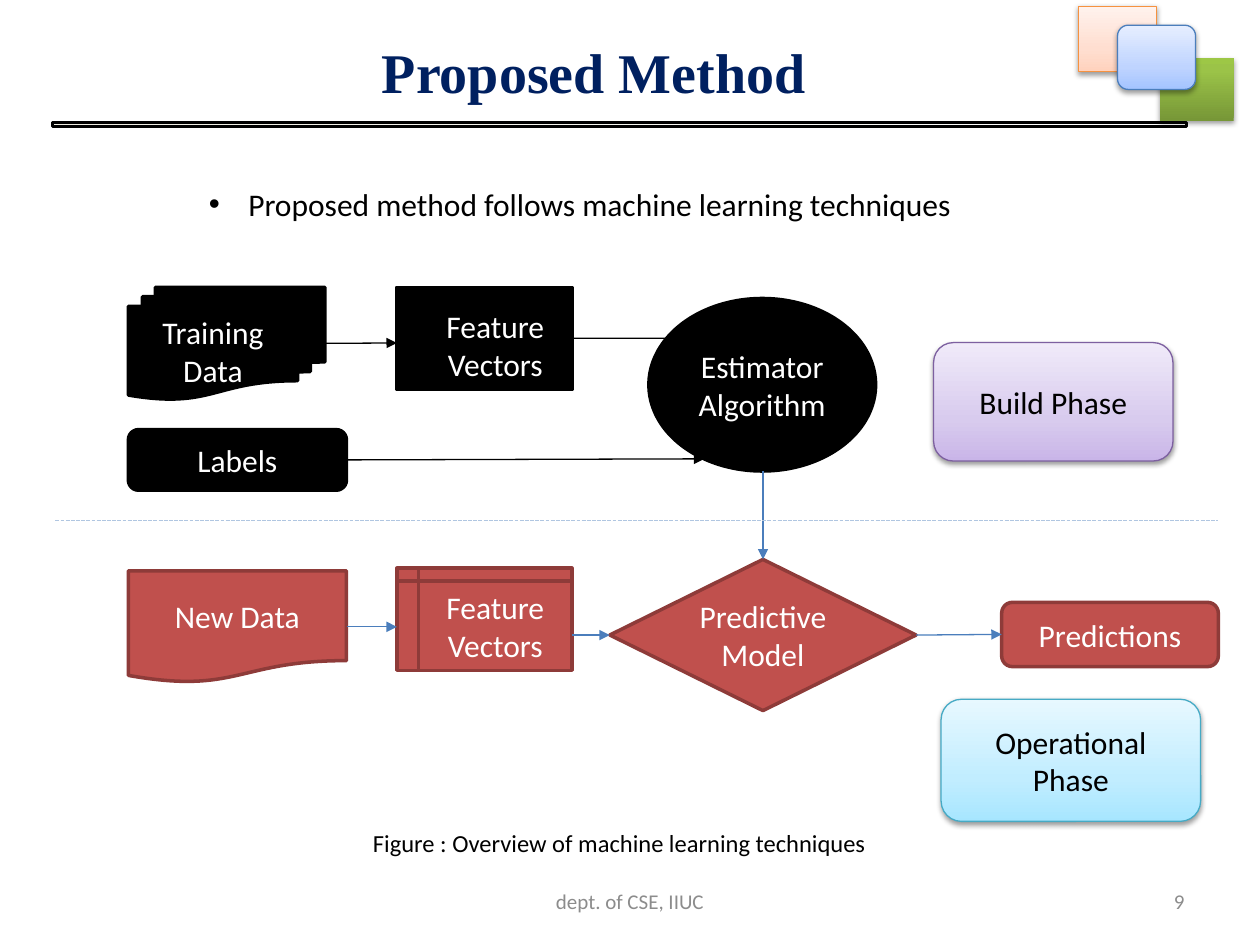
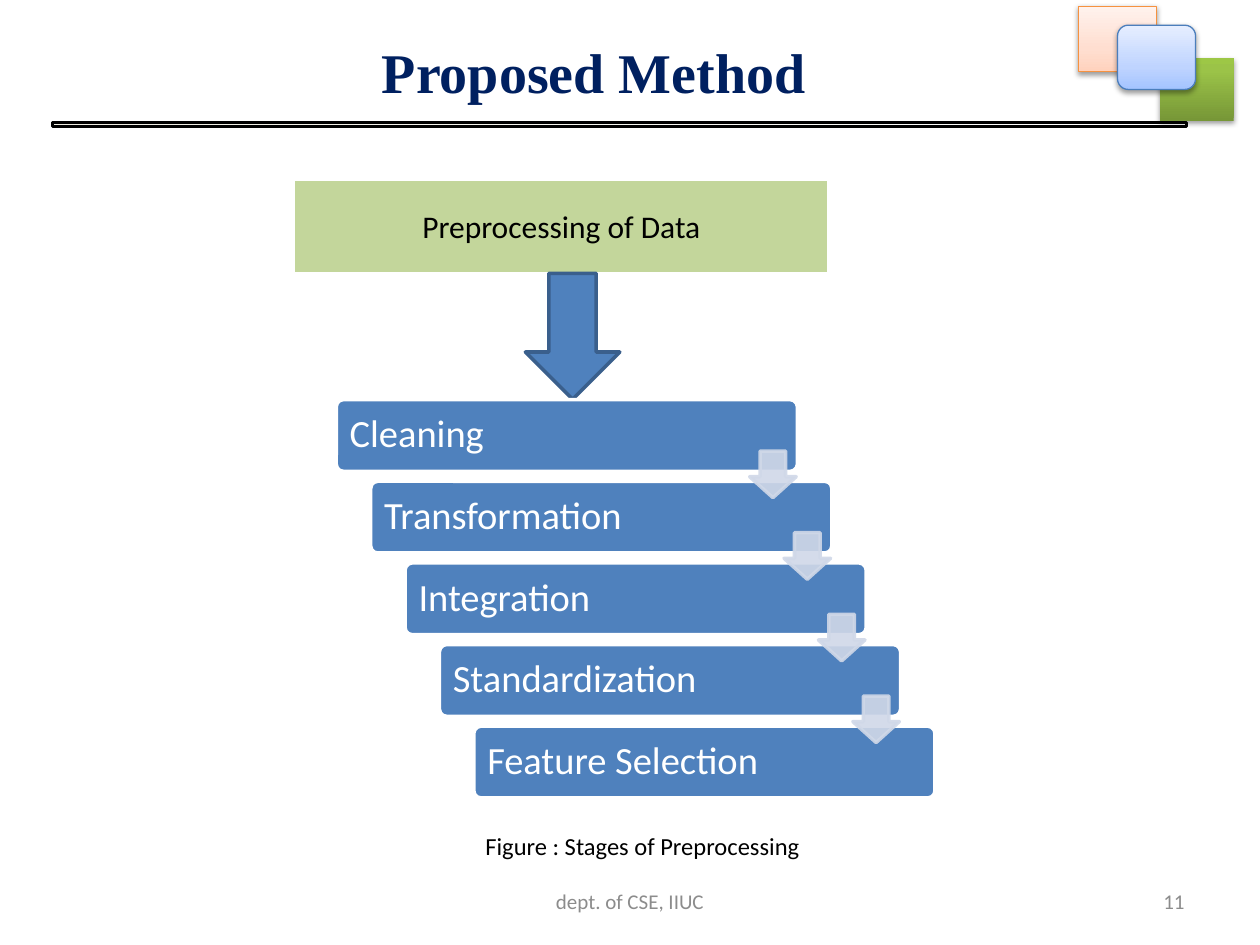
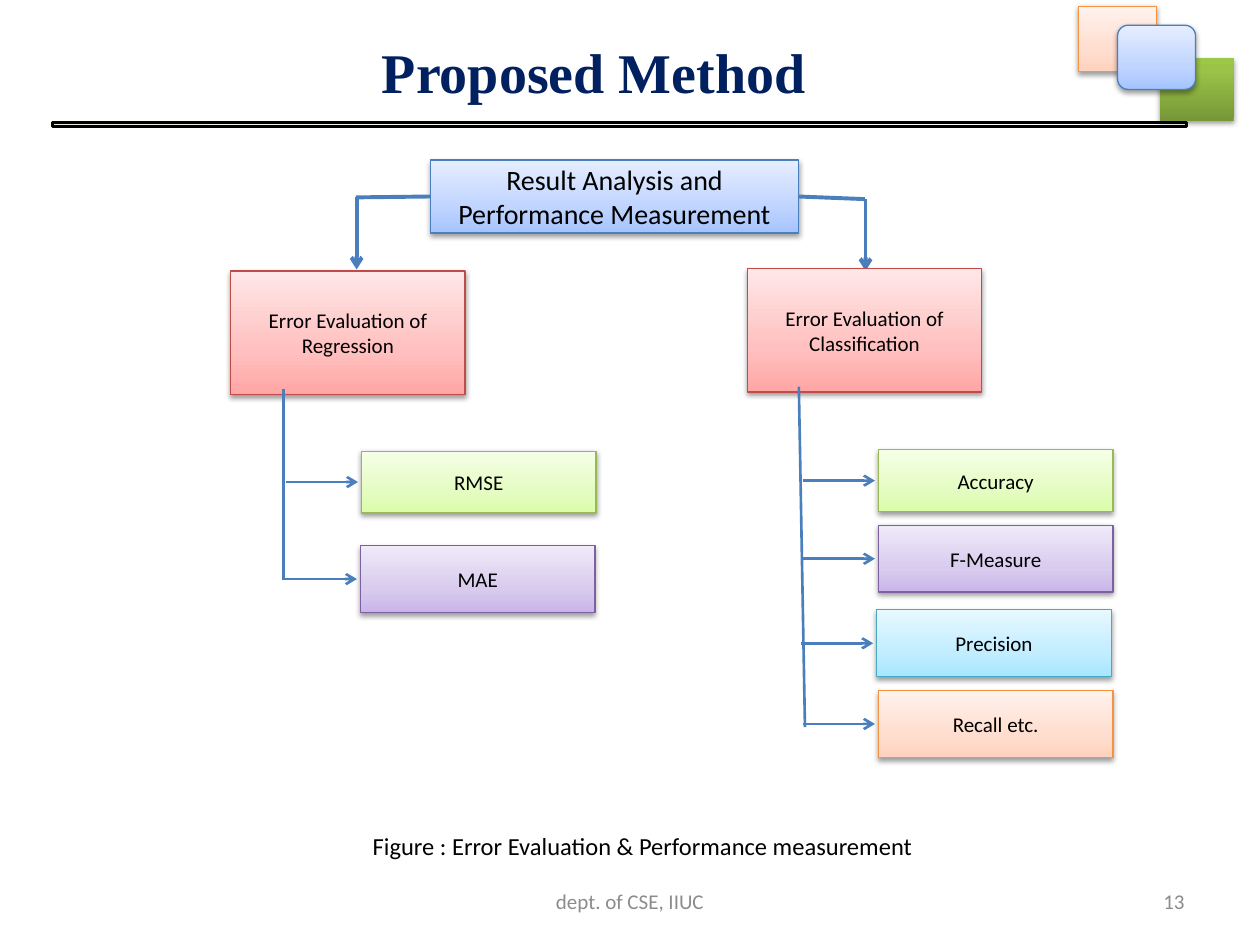
from lxml import etree
from pptx import Presentation
from pptx.dml.color import RGBColor
from pptx.enum.dml import MSO_LINE
from pptx.enum.shapes import MSO_CONNECTOR, MSO_SHAPE
from pptx.enum.text import MSO_ANCHOR, PP_ALIGN
from pptx.oxml.ns import qn
from pptx.util import Pt

RECT, ROUND = MSO_SHAPE.RECTANGLE, MSO_SHAPE.ROUNDED_RECTANGLE
DOWN_ARROW = MSO_SHAPE.DOWN_ARROW
STORAGE = MSO_SHAPE.FLOWCHART_INTERNAL_STORAGE
LEFT, CENTER, RIGHT = PP_ALIGN.LEFT, PP_ALIGN.CENTER, PP_ALIGN.RIGHT
TITLE_ONLY = 5

COLORS = {
    "black": "000000", "white": "FFFFFF", "navy": "002060", "gray": "8C8C8C",
    "cream": "EEECE1", "step": "4F81BD", "step_edge": "3A5F8C", "pale": "D0D8E8",
    "red": "C0504D", "red_edge": "8E3B39", "divider": "B0C6E1", "olive": "C3D69B",
    # Tints run from dark at the bottom to light at the top
    "blue_dark": "A4C4FF", "blue_mid": "BFD4FF", "blue_light": "E6EEFF", "blue_line": "4B7EBC",
    "peach_dark": "FFD2BD", "peach_mid": "FFDED0", "peach_light": "FFF2ED", "peach_line": "F69240",
    "violet_dark": "C9B5E8", "violet_mid": "D8CBEE", "violet_light": "F0EAF9", "violet_line": "7D60A0",
    "aqua_dark": "A7E6FF", "aqua_mid": "C1EDFF", "aqua_light": "E7F8FF", "aqua_line": "46AAC5",
    "rose_dark": "FFA6A5", "rose_mid": "FFC0BF", "rose_light": "FFE7E7", "rose_line": "BF4C48",
    "lime_dark": "DAFDA7", "lime_mid": "E4FCC2", "lime_light": "F5FFE7", "lime_line": "98B955",
    "leaf_dark": "779737", "leaf_mid": "9BC348", "leaf_light": "9DC746",
}


def box(s, kind, at, text="", size=18, color="black", fill=None, line=None, align=CENTER):
    """Add a shape, or a text box if kind is None; a tint as fill brings its line and shadow."""
    at = [Pt(v) for v in at]
    sp = s.shapes.add_shape(kind, *at) if kind else s.shapes.add_textbox(*at)
    if kind:
        sp.shadow.inherit = False
        tinted = f"{fill}_dark" in COLORS
        line = f"{fill}_line" if tinted else line
        if line in COLORS:
            sp.line.color.rgb = RGBColor.from_string(COLORS[line])
            sp.line.width = Pt(0.75 if tinted else 2)
        else:
            sp.line.fill.background()
        if tinted:
            sp.fill.gradient()
            sp.fill.gradient_angle = 90
            stops = sp._element.spPr.find(".//" + qn("a:gsLst"))
            stops.clear()
            for pos, shade in ((0, "dark"), (80 if fill == "leaf" else 35, "mid"), (100, "light")):
                gs = etree.SubElement(stops, qn("a:gs"), pos=str(pos * 1000))
                etree.SubElement(gs, qn("a:srgbClr"), val=COLORS[f"{fill}_{shade}"])
            effects = sp._element.spPr.find(qn("a:effectLst"))
            shadow = etree.SubElement(effects, qn("a:outerShdw"), blurRad=str(Pt(3.1)),
                                      dist=str(Pt(1.6)), dir="5400000", rotWithShape="0")
            clr = etree.SubElement(shadow, qn("a:srgbClr"), val=COLORS["black"])
            etree.SubElement(clr, qn("a:alpha"), val="38000")
        else:
            sp.fill.solid()
            sp.fill.fore_color.rgb = RGBColor.from_string(COLORS[fill])
    if text:
        tf = sp.text_frame
        tf.word_wrap = True
        tf.vertical_anchor = MSO_ANCHOR.MIDDLE
        p = tf.paragraphs[0]
        p.alignment = align
        r = p.add_run()
        r.text = text
        r.font.name, r.font.size = "Calibri", Pt(size)
        r.font.color.rgb = RGBColor.from_string(COLORS[color])
    return sp


def connect(s, start, end, color="blue_line", width=0.75, head=None):
    cxn = s.shapes.add_connector(MSO_CONNECTOR.STRAIGHT, *[Pt(v) for v in (*start, *end)])
    cxn.line.color.rgb = RGBColor.from_string(COLORS[color])
    cxn.line.width = Pt(width)
    if head:
        etree.SubElement(cxn._element.spPr.find(qn("a:ln")), qn("a:tailEnd"), type=head)
    etree.SubElement(cxn._element.spPr, qn("a:effectLst"))
    return cxn


prs = Presentation()
prs.slide_width, prs.slide_height = Pt(720), Pt(540)

# Title, rule, corner squares, caption and footer of every slide
slides = []
for number, caption, caption_at in (
    ("9", "Figure : Overview of machine learning techniques", (204.5, 469.5, 299, 24.5)),
    ("11", "Figure : Stages of Preprocessing", (265.7, 471, 203, 24.5)),
    ("13", "Figure : Error Evaluation & Performance measurement", (201, 471, 332.6, 24.5)),
):
    s = prs.slides.add_slide(prs.slide_layouts[TITLE_ONLY])
    title = s.shapes.title
    title.left, title.top, title.width, title.height = Pt(211), Pt(18), Pt(275), Pt(46)
    tf = title.text_frame
    tf.vertical_anchor = MSO_ANCHOR.TOP
    p = tf.paragraphs[0]
    p.alignment = LEFT
    r = p.add_run()
    r.text = "Proposed Method"
    r.font.name, r.font.size, r.font.bold = "Times New Roman", Pt(32), True
    r.font.color.rgb = RGBColor.from_string(COLORS["navy"])

    rule = box(s, RECT, (30, 70, 648, 2.4), fill="white", line="black")
    rule.line.width = Pt(1.5)
    rule.fill.gradient()
    rule.fill.gradient_angle = 0
    for stop, name in zip(rule.fill.gradient_stops, ("cream", "white")):
        stop.color.rgb = RGBColor.from_string(COLORS[name])

    box(s, RECT, (663, 33, 42, 36), fill="leaf")
    box(s, RECT, (616.3, 3.6, 44.6, 37.4), fill="peach")
    box(s, ROUND, (638.6, 14.4, 44.6, 36.7), fill="blue")
    box(s, None, caption_at, caption, 14).text_frame.word_wrap = False
    box(s, None, (246, 500.4, 228, 28.8), "dept. of CSE, IIUC", 12, "gray")
    box(s, None, (516, 500.4, 168, 28.8), number, 12, "gray", align=RIGHT)
    slides.append(s)
overview, stages, evaluation = slides

# Overview: build phase above the divider, operational phase below
s = overview
sp = box(s, None, (112.3, 102.2, 493, 28.8),
         "Proposed method follows machine learning techniques", align=LEFT)
pPr = sp.text_frame.paragraphs[0]._p.get_or_add_pPr()
pPr.set("marL", str(Pt(22.5)))
pPr.set("indent", str(Pt(-22.5)))
etree.SubElement(pPr, qn("a:buFont"), typeface="Arial")
etree.SubElement(pPr, qn("a:buChar"), char="•")

build = {"color": "white", "fill": "black", "line": "black"}
training = box(s, MSO_SHAPE.FLOWCHART_MULTIDOCUMENT, (73.4, 164.2, 112.3, 64), "Training Data", **build)
features = box(s, STORAGE, (226.8, 164.2, 100, 58.3), "Feature Vectors", **build)
labels = box(s, ROUND, (73.4, 245.5, 124.6, 34.6), "Labels", **build)
for source, end in ((training, (226.8, 196)), (features, (391.7, 193.3)), (labels, (402.5, 262.2))):
    cxn = connect(s, (0, 0), end, "black", head="triangle")
    cxn.begin_connect(source, 3)
box(s, MSO_SHAPE.OVAL, (370.8, 170.6, 129.6, 98.6), "Estimator Algorithm", **build)

operate = {"color": "white", "fill": "red", "line": "red_edge"}
new_data = box(s, MSO_SHAPE.FLOWCHART_DOCUMENT, (73.4, 326.2, 124.6, 64), "New Data", **operate)
box(s, STORAGE, (226.8, 324.7, 100, 58.3), "Feature Vectors", **operate)
model = box(s, MSO_SHAPE.FLOWCHART_DECISION, (348.5, 319.7, 175, 86.4), "Predictive Model", **operate)
predictions = box(s, ROUND, (572.4, 344.2, 123.8, 36.7), "Predictions", **operate)

connect(s, (198, 358.2), (226.8, 358.2), head="triangle").begin_connect(new_data, 3)
connect(s, (326.8, 362.9), (348.5, 362.9), head="triangle").end_connect(model, 1)
connect(s, (436, 269.2), (436, 319.7), head="triangle").end_connect(model, 0)
cxn = connect(s, (523.5, 362.9), (572.4, 362.5), head="triangle")
cxn.begin_connect(model, 3)
cxn.end_connect(predictions, 1)
connect(s, (31.7, 297.4), (696.2, 297.4), "divider").line.dash_style = MSO_LINE.SQUARE_DOT

box(s, ROUND, (537.8, 399.6, 148.3, 69.8), "Operational Phase", fill="aqua")
box(s, ROUND, (533.5, 195.8, 136.8, 67.7), "Build Phase", fill="violet")

# Stages: a staircase of steps, each leading to the next
s = stages
STEP_X, STEP_Y = 19.65, 46.65
box(s, RECT, (167.8, 102.2, 306, 54), "Preprocessing of Data", fill="olive", line="white")
box(s, DOWN_ARROW, (300.2, 156.2, 54, 72), fill="step", line="step_edge")
steps = ("Cleaning", "Transformation", "Integration", "Standardization", "Feature Selection")
for i, step in enumerate(steps):
    sp = box(s, ROUND, (192.2 + i * STEP_X, 228.4 + i * STEP_Y, 263.5, 41), step, 22,
             "white", "step", "white", LEFT)
    sp.adjustments[0] = 0.1
    sp.text_frame.margin_left = Pt(6.5)
    sp.text_frame.paragraphs[0].line_spacing = 0.9
for i in range(len(steps) - 1):
    sp = box(s, DOWN_ARROW, (428.4 + i * STEP_X, 257.8 + i * STEP_Y, 26.6, 26.6),
             fill="pale", line="pale")
    sp.adjustments[0], sp.adjustments[1] = 0.55, 0.45
    for clr in sp._element.spPr.iter(qn("a:srgbClr")):
        etree.SubElement(clr, qn("a:alpha"), val="90000")

# Evaluation: a tree with one branch per kind of task
s = evaluation
root = box(s, RECT, (246.2, 91.4, 210, 41.8), "Result Analysis and Performance Measurement", 16,
           fill="blue")
for side, corner, tip in ((1, (203.4, 112.8), (203.8, 154)), (3, (494.3, 113.8), (494.6, 154.8))):
    connect(s, (0, 0), corner, width=2.25).begin_connect(root, side)
    connect(s, (tip[0], corner[1]), tip, width=2.25, head="arrow")

branches = (
    ("Error Evaluation of Regression", (131.8, 154.8), (162, 222.5), (162, 331.2), (
        ("RMSE", "lime", 206.6, 257.8, 35.3),
        ("MAE", "violet", 206, 311.8, 38.2))),
    ("Error Evaluation of Classification", (427, 153.4), (456.5, 221), (460, 415.5), (
        ("Accuracy", "lime", 502, 257, 35.3),
        ("F-Measure", "violet", 502, 300.2, 38.2),
        ("Precision", "aqua", 501, 348.5, 38.2),
        ("Recall etc.", "peach", 502, 394.6, 38.2))),
)
for task, corner, trunk_top, trunk_end, metrics in branches:
    box(s, RECT, (*corner, 134, 70.6), task, 12, fill="rose")
    connect(s, trunk_top, trunk_end, width=1.5)
    for metric, tint, left, top, height in metrics:
        box(s, RECT, (left, top, 134, height), metric, 12, fill=tint)
        middle = top + height / 2
        connect(s, (left - 43, middle), (left - 2, middle), width=1.5, head="arrow")

prs.save("out.pptx")
